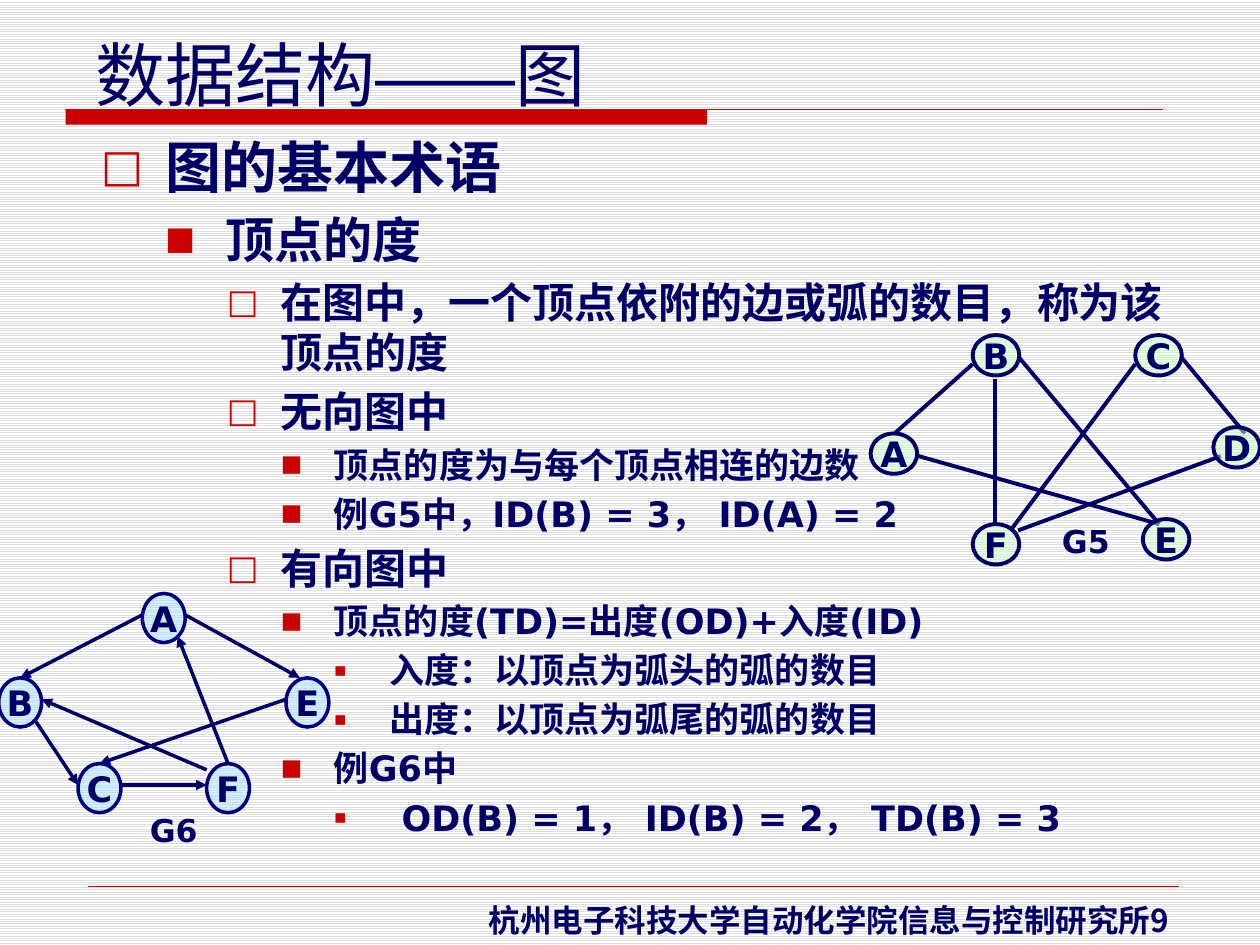
from lxml.etree import SubElement
from pptx import Presentation
from pptx.dml.color import RGBColor
from pptx.enum.dml import MSO_PATTERN
from pptx.enum.shapes import MSO_CONNECTOR, MSO_SHAPE
from pptx.enum.text import MSO_ANCHOR, MSO_AUTO_SIZE, PP_ALIGN
from pptx.oxml.ns import qn
from pptx.util import Inches, Pt

INK = {"text": "000066", "red": "CC0000", "ring": "000080", "green": "CCFFCC",
       "blue": "A7E2FF", "stripe": "DDDDDD", "white": "FFFFFF"}
RGB = {name: RGBColor.from_string(code) for name, code in INK.items()}
SANS, CJK = "DejaVu Sans", "Noto Sans CJK SC"


def write(para, text, size, font=SANS, bold=True):
    """Add a run with one font for both Latin and Chinese text."""
    run = para.add_run()
    run.text = text
    run.font.size, run.font.name, run.font.bold = Pt(size), font, bold
    run.font.color.rgb = RGB["text"]
    SubElement(run._r.rPr, qn("a:ea"), typeface=font)


def wire(shapes, ends, color, width, arrow=False):
    """Draw a straight line from (x1, y1) to (x2, y2)."""
    link = shapes.add_connector(MSO_CONNECTOR.STRAIGHT, *[Inches(n) for n in ends])
    link.line.color.rgb, link.line.width = RGB[color], Pt(width)
    if arrow:
        SubElement(link.line._get_or_add_ln(), qn("a:tailEnd"), type="triangle")
    SubElement(link._element.spPr, qn("a:effectLst"))


deck = Presentation()
deck.slide_width, deck.slide_height = Inches(10), Inches(7.5)
slide = deck.slides.add_slide(deck.slide_layouts[1])
back = slide.background.fill
back.patterned()
back.pattern = MSO_PATTERN.LIGHT_HORIZONTAL
back.fore_color.rgb, back.back_color.rgb = RGB["stripe"], RGB["white"]

# Rules under the title and above the footer
bar = slide.shapes.add_shape(MSO_SHAPE.RECTANGLE, Inches(0.52), Inches(0.87),
                             Inches(5.09), Inches(0.12))
bar.shadow.inherit = False
bar.fill.solid()
bar.fill.fore_color.rgb = RGB["red"]
bar.line.fill.background()
wire(slide.shapes, (0.52, 0.87, 9.23, 0.87), "red", 0.75)
wire(slide.shapes, (0.7, 7.03, 9.36, 7.03), "red", 0.25)

# Title
title = slide.shapes.title
title.left, title.top = Inches(0.66), Inches(0.2)
title.width, title.height = Inches(4.09), Inches(0.77)
frame = title.text_frame
frame.word_wrap, frame.auto_size = False, MSO_AUTO_SIZE.NONE
frame.vertical_anchor = MSO_ANCHOR.TOP
para = frame.paragraphs[0]
para.alignment = PP_ALIGN.LEFT
for text, font in (("数据结构", SANS), ("——", "Arial"), ("图", SANS)):
    write(para, text, 40, font, False)

# Outline: per level the text size, indent, hang, bullet and bullet percent
LEVELS = [(32, 0.51, 0.51, "□", 80), (28, 0.99, 0.48, "■", 65),
          (24, 1.43, 0.43, "□", 80), (20, 1.85, 0.42, "■", 65),
          (20, 2.29, 0.44, "▪", 55)]
LINES = [
    (0, "图的基本术语"),
    (1, "顶点的度"),
    (2, "在图中，一个顶点依附的边或弧的数目，称为该顶点的度"),
    (2, "无向图中"),
    (3, "顶点的度为与每个顶点相连的边数"),
    (3, "例G5中，ID(B) = 3， ID(A) = 2"),
    (2, "有向图中"),
    (3, "顶点的度(TD)=出度(OD)+入度(ID)"),
    (4, "入度：以顶点为弧头的弧的数目"),
    (4, "出度：以顶点为弧尾的弧的数目"),
    (3, "例G6中"),
    (4, " OD(B) = 1， ID(B) = 2， TD(B) = 3"),
]
body = slide.placeholders[1]
body.left, body.top = Inches(0.7), Inches(1)
body.width, body.height = Inches(8.65), Inches(6.12)
frame = body.text_frame
frame.word_wrap, frame.auto_size = True, MSO_AUTO_SIZE.NONE
for row, (level, text) in enumerate(LINES):
    size, indent, hang, mark, scale = LEVELS[level]
    para = frame.add_paragraph() if row else frame.paragraphs[0]
    para.level = level
    if row == 0:
        para.space_before = Pt(0)
    props = para._p.get_or_add_pPr()
    props.set("marL", str(Inches(indent)))
    props.set("indent", str(-Inches(hang)))
    SubElement(SubElement(props, qn("a:buClr")), qn("a:srgbClr"), val=INK["red"])
    SubElement(props, qn("a:buSzPct"), val=str(scale * 1000))
    SubElement(props, qn("a:buFont"), typeface=SANS)
    SubElement(props, qn("a:buChar"), char=mark)
    write(para, text, size)

# Graphs
GRAPHS = [
    {"fill": "green", "ring": "text", "width": 2.25, "size": (0.37, 0.32), "arrow": False,
     "nodes": {"A": (6.91, 3.44), "B": (7.72, 2.66), "C": (9.01, 2.66),
               "D": (9.63, 3.39), "E": (9.07, 4.12), "F": (7.72, 4.16)},
     "edges": [(7.72, 2.89, 7.1, 3.44), (8.09, 2.84, 9.2, 4.16),
               (7.29, 3.62, 9.2, 4.16), (9.01, 2.89, 8.02, 4.21),
               (9.38, 2.84, 9.88, 3.44), (9.69, 3.62, 8.08, 4.21),
               (7.9, 3.01, 7.9, 4.16)]},
    {"fill": "blue", "ring": "ring", "width": 2, "size": (0.34, 0.39), "arrow": True,
     "nodes": {"A": (1.13, 4.71), "B": (-0.01, 5.38), "C": (0.62, 6.06),
               "E": (2.27, 5.38), "F": (1.64, 6.06)},
     "edges": [(1.13, 4.88, 0.16, 5.38), (0.28, 5.72, 0.62, 6.23),
               (0.96, 6.23, 1.64, 6.23), (1.81, 6.06, 1.41, 5.05),
               (1.47, 4.88, 2.38, 5.38), (1.64, 6.11, 0.33, 5.55),
               (2.27, 5.55, 0.79, 6.06)]},
]
for graph in GRAPHS:
    group = slide.shapes.add_group_shape().shapes
    for ends in graph["edges"]:
        wire(group, ends, "text", graph["width"], graph["arrow"])
    for name, spot in graph["nodes"].items():
        node = group.add_shape(MSO_SHAPE.OVAL, *[Inches(n) for n in spot + graph["size"]])
        node.shadow.inherit = False
        node.fill.solid()
        node.fill.fore_color.rgb = RGB[graph["fill"]]
        tint = node._element.spPr.find(qn("a:solidFill"))[0]
        SubElement(tint, qn("a:alpha"), val="50000")
        node.line.color.rgb, node.line.width = RGB[graph["ring"]], Pt(graph["width"])
        frame = node.text_frame
        frame.word_wrap, frame.vertical_anchor = False, MSO_ANCHOR.MIDDLE
        frame.paragraphs[0].alignment = PP_ALIGN.CENTER
        write(frame.paragraphs[0], name, 20)

# Graph names and footer
LABELS = [("G5", 8.33, 4.09, 0.58, SANS), ("G6", 1.09, 6.39, 0.58, SANS),
          ("杭州电子科技大学自动化学院信息与控制研究所9", 3.78, 7.1, 6.11, CJK)]
for text, left, top, width, font in LABELS:
    box = slide.shapes.add_textbox(Inches(left), Inches(top), Inches(width), Inches(0.4))
    box.text_frame.word_wrap = False
    write(box.text_frame.paragraphs[0], text, 18, font)

deck.save("out.pptx")
